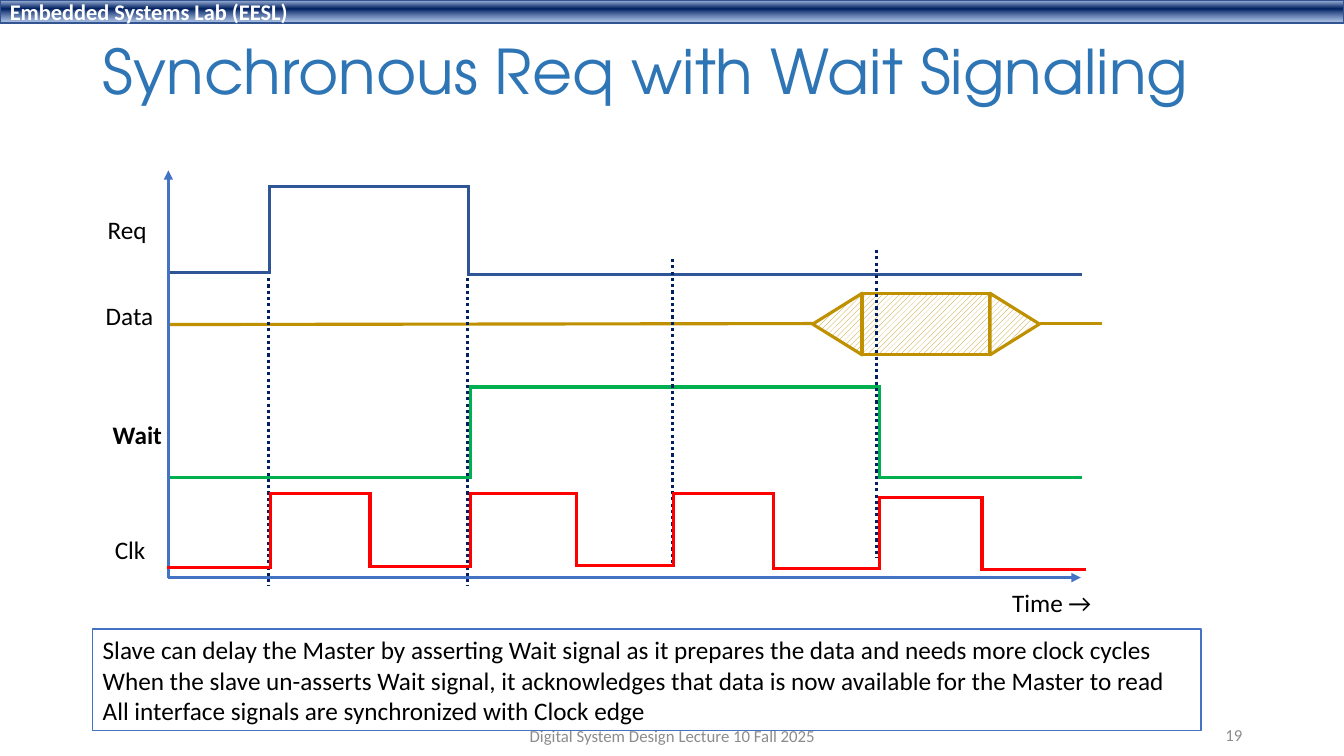
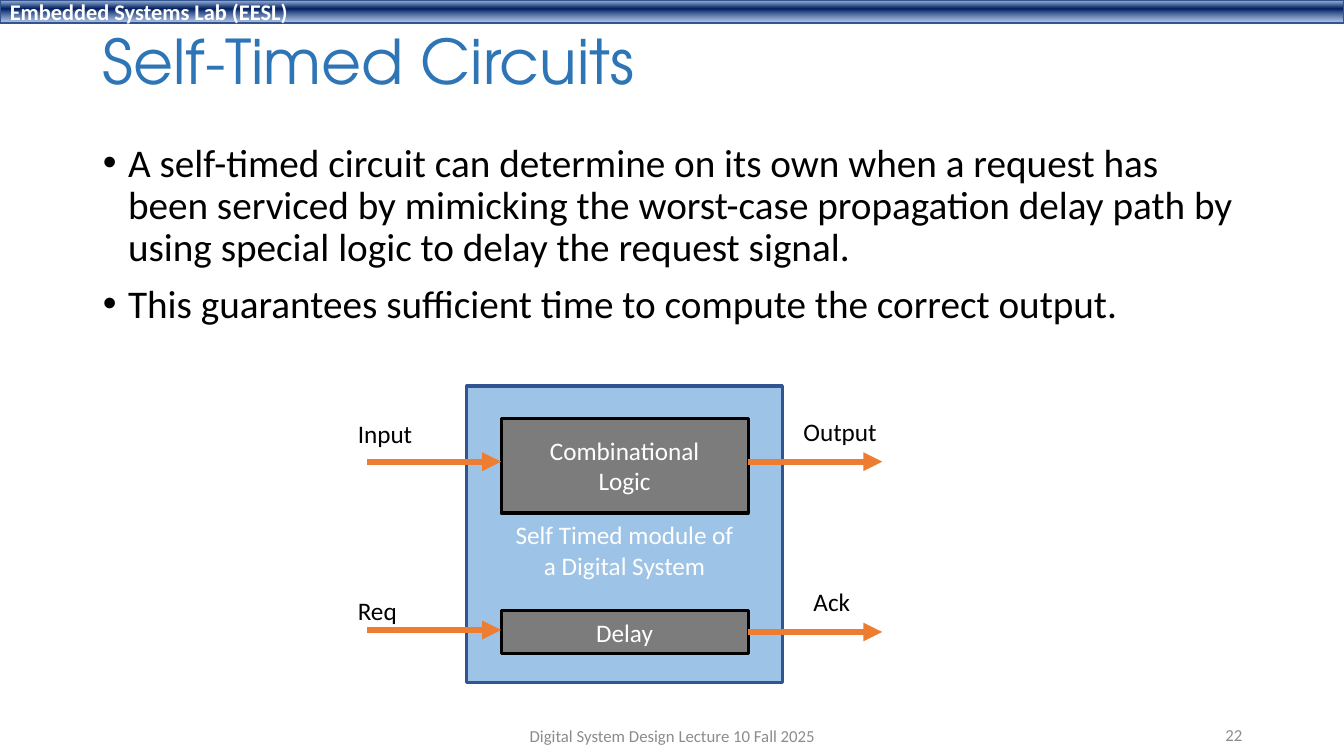
"""Build two lecture slides on wait signaling and self-timed circuits."""
import itertools

import pptx
import pptx.dml.color
import pptx.enum.dml
import pptx.enum.shapes
import pptx.enum.text
import pptx.oxml
import pptx.oxml.ns
import pptx.util

Inches, Pt = pptx.util.Inches, pptx.util.Pt
SHAPE = pptx.enum.shapes.MSO_SHAPE
ALIGN = pptx.enum.text.PP_ALIGN
MIDDLE = pptx.enum.text.MSO_ANCHOR.MIDDLE
TOP = pptx.enum.text.MSO_ANCHOR.TOP

COLORS = {
    "title": "2E75B6", "text": "000000", "white": "FFFFFF", "footer": "8C8C8C",
    "band_line": "325491", "axis": "4472C4", "edge": "002060", "req": "2F5597",
    "data": "BF9000", "wait": "00B050", "clk": "FF0000", "module": "9DC3E6",
    "block": "7C7C7C", "arrow": "ED7D31",
}
BODY_FONT, TITLE_FONT = "Calibri", "TeX Gyre Adventor"

LAB = "Embedded Systems Lab (EESL)"
COURSE = "Digital System Design Lecture 10 Fall 2025"
BAND_STOPS = [(2, "ABC0E4", 100), (38, "002060", 100), (93, "7E9ED6", 64)]

WAIT_TITLE = "Synchronous Req with Wait Signaling"
SIGNAL_LABELS = [
    ("Time →", (9.94, 5.78, 1, 0.4), False),
    ("Req", (0.97, 2.08, 0.59, 0.4), False),
    ("Data", (0.95, 2.93, 0.68, 0.4), False),
    ("Wait", (1.02, 4.11, 0.7, 0.4), True),
    ("Clk", (1.04, 5.25, 0.51, 0.4), False),
]
ORIGIN_X, ORIGIN_Y = 1.67, 5.73
AXIS_ENDS = [(ORIGIN_X, 1.69), (10.72, ORIGIN_Y)]
WAIT_HOLDS = [(4.67, 4.74), (8.72, 3.84), (10.72, 4.74)]
REQ_HOLDS = [(2.67, 2.7), (4.65, 1.85), (10.72, 2.72)]
CLK_HOLDS = [
    (2.68, 5.63), (3.67, 4.9), (4.67, 5.62), (5.72, 4.9), (6.68, 5.61),
    (7.67, 4.9), (8.72, 5.64), (9.74, 4.94), (10.76, 5.65),
]
DATA_LINES = [((ORIGIN_X, 3.22), (8.06, 3.21)), ((10.32, 3.21), (10.93, 3.21))]
DATA_VALID = [
    (SHAPE.ISOSCELES_TRIANGLE, (8, 2.97, 0.61, 0.49), 270),
    (SHAPE.RECTANGLE, (8.55, 2.91, 1.27, 0.61), 0),
    (SHAPE.ISOSCELES_TRIANGLE, (9.76, 2.97, 0.61, 0.49), 90),
]
CLOCK_EDGES = [(2.66, 2.76, 5.81), (4.64, 2.76, 5.81), (6.67, 2.57, 5.61), (8.69, 2.48, 5.53)]
WAIT_NOTES = [
    "Slave can delay the Master by asserting Wait signal as it prepares the data and needs more clock cycles",
    "When the slave un-asserts Wait signal, it acknowledges that data is now available for the Master to read",
    "All interface signals are synchronized with Clock edge",
]

TIMED_TITLE = "Self-Timed Circuits"
TIMED_POINTS = [
    "A self-timed circuit can determine on its own when a request has been serviced by mimicking "
    "the worst-case propagation delay path by using special logic to delay the request signal.",
    "This guarantees sufficient time to compute the correct output.",
]
MODULE_TEXT = "Self Timed module of\na Digital System"
BLOCKS = [
    ("Combinational\nLogic", (4.97, 4.15, 2.45, 0.94)),
    ("Delay", (4.97, 6.06, 2.45, 0.42)),
]
ARROW_LENGTH = 1.33
ARROWS = [(3.64, 4.58), (3.64, 6.25), (7.42, 6.27), (7.42, 4.58)]
PORT_LABELS = [
    ("Input", (3.45, 4.1, 0.75, 0.4)), ("Req", (3.45, 5.86, 0.59, 0.4)),
    ("Output", (7.87, 4.08, 0.94, 0.4)), ("Ack", (7.97, 5.77, 0.57, 0.4)),
]


def rgb(name):
    return pptx.dml.color.RGBColor.from_string(COLORS[name])


def child(parent, tag, **attributes):
    element = pptx.oxml.parse_xml(f"<{tag} {pptx.oxml.ns.nsdecls('a')}/>")
    for key, value in attributes.items():
        element.set(key, str(value))
    parent.append(element)
    return element


def write(frame, text, size=18, color="text", align=ALIGN.LEFT, anchor=MIDDLE,
          bold=False, font=BODY_FONT, wrap=True):
    frame.text = text
    frame.word_wrap = wrap
    frame.vertical_anchor = anchor
    for paragraph in frame.paragraphs:
        paragraph.alignment = align
        for run in paragraph.runs:
            run.font.size = Pt(size)
            run.font.name = font
            run.font.bold = bold
            run.font.color.rgb = rgb(color)


def place(shape, box):
    shape.left, shape.top, shape.width, shape.height = map(Inches, box)


def add_label(slide, text, box, **style):
    label = slide.shapes.add_textbox(*map(Inches, box))
    write(label.text_frame, text, **style)


def add_box(slide, kind, box, fill, line, width=2.25):
    shape = slide.shapes.add_shape(kind, *map(Inches, box))
    shape.shadow.inherit = False
    if fill:
        shape.fill.solid()
        shape.fill.fore_color.rgb = rgb(fill)
    shape.line.color.rgb = rgb(line)
    shape.line.width = Pt(width)
    return shape


def add_line(slide, start, end, color, width=2.25, arrow=False, dotted=False):
    connector = slide.shapes.add_connector(
        pptx.enum.shapes.MSO_CONNECTOR.STRAIGHT, *map(Inches, (*start, *end)))
    connector.line.color.rgb = rgb(color)
    connector.line.width = Pt(width)
    if dotted:
        connector.line.dash_style = pptx.enum.dml.MSO_LINE.ROUND_DOT
    if arrow:
        child(connector.line._get_or_add_ln(), "a:tailEnd", type="triangle")
    child(connector._element.spPr, "a:effectLst")
    return connector


def add_wave(slide, holds, color):
    """Draw a signal that holds each level up to the given x."""
    points = [(ORIGIN_X, holds[0][1])]
    for (x, level), following in itertools.zip_longest(holds, holds[1:]):
        points.append((x, level))
        if following:
            points.append((x, following[1]))
    for start, end in itertools.pairwise(points):
        segment = add_line(slide, start, end, color)
        segment.line._get_or_add_ln().set("cap", "sq")


def add_band(slide):
    band = add_box(slide, SHAPE.RECTANGLE, (0, 0, 13.33, 0.23), None, "band_line", 1)
    band.fill.gradient()
    band.fill.gradient_angle = 270
    stops = band._element.spPr.find(".//" + pptx.oxml.ns.qn("a:gsLst"))
    for stop in list(stops):
        stops.remove(stop)
    for position, color, alpha in BAND_STOPS:
        shade = child(child(stops, "a:gs", pos=position * 1000), "a:srgbClr", val=color)
        if alpha < 100:
            child(shade, "a:alpha", val=alpha * 1000)
    write(band.text_frame, LAB, size=16, color="white", bold=True)


def start_slide(deck, layout, title, title_height, number):
    slide = deck.slides.add_slide(deck.slide_layouts[layout])
    add_band(slide)
    heading = slide.shapes.title
    place(heading, (0.92, 0.15, 11.5, title_height))
    write(heading.text_frame, title, size=44, color="title", font=TITLE_FONT)
    heading.text_frame.auto_size = pptx.enum.text.MSO_AUTO_SIZE.NONE
    heading.text_frame.paragraphs[0].line_spacing = 0.9
    add_label(slide, COURSE, (4.42, 7.1, 4.5, 0.4), size=12, color="footer", align=ALIGN.CENTER)
    add_label(slide, str(number), (9.42, 7.09, 3, 0.4), size=12, color="footer", align=ALIGN.RIGHT)
    return slide


def add_clock_edge(slide, x, top, bottom):
    add_line(slide, (x, top), (x, bottom), "edge", dotted=True)


def build_wait_slide(deck):
    slide = start_slide(deck, 5, WAIT_TITLE, 1.17, 19)
    add_wave(slide, WAIT_HOLDS, "wait")
    for start, end in DATA_LINES:
        add_line(slide, start, end, "data")
    for kind, box, rotation in DATA_VALID:
        valid = add_box(slide, kind, box, None, "data")
        valid.rotation = rotation
        valid.fill.patterned()
        valid.fill.pattern = pptx.enum.dml.MSO_PATTERN.WIDE_UPWARD_DIAGONAL
        valid.fill.fore_color.rgb = rgb("data")
        valid.fill.back_color.rgb = rgb("white")
    add_wave(slide, REQ_HOLDS, "req")
    for edge in CLOCK_EDGES[:-1]:
        add_clock_edge(slide, *edge)
    for end in AXIS_ENDS:
        add_line(slide, (ORIGIN_X, ORIGIN_Y), end, "axis", arrow=True)
    for text, box, bold in SIGNAL_LABELS:
        add_label(slide, text, box, bold=bold, anchor=TOP, wrap=False)
    notes = add_box(slide, SHAPE.RECTANGLE, (0.92, 6.24, 10.99, 1.01), "white", "axis", 1)
    write(notes.text_frame, "\n".join(WAIT_NOTES))
    add_wave(slide, CLK_HOLDS, "clk")
    add_clock_edge(slide, *CLOCK_EDGES[-1])


def build_timed_slide(deck):
    slide = start_slide(deck, 1, TIMED_TITLE, 0.99, 22)
    points = slide.placeholders[1]
    place(points, (0.92, 1.37, 11.5, 2.02))
    write(points.text_frame, "\n".join(TIMED_POINTS), size=28, anchor=TOP)
    points.text_frame.auto_size = pptx.enum.text.MSO_AUTO_SIZE.NONE
    for index, paragraph in enumerate(points.text_frame.paragraphs):
        properties = paragraph._p.get_or_add_pPr()
        properties.set("marL", str(Inches(0.25)))
        properties.set("indent", str(Inches(-0.25)))
        child(properties, "a:buFont", typeface="Arial")
        child(properties, "a:buChar", char="•")
        paragraph.line_spacing = 0.9
        paragraph.space_before = Pt(10 if index else 0)

    module = add_box(slide, SHAPE.RECTANGLE, (4.63, 3.83, 3.13, 2.94), "module", "band_line")
    write(module.text_frame, MODULE_TEXT, color="white", align=ALIGN.CENTER)
    module.text_frame.margin_top = Inches(0.36)
    for text, box in BLOCKS:
        block = add_box(slide, SHAPE.RECTANGLE, box, "block", "text")
        write(block.text_frame, text, color="white", align=ALIGN.CENTER)
    for x, y in ARROWS:
        add_line(slide, (x, y), (x + ARROW_LENGTH, y), "arrow", width=4.5, arrow=True)
    for text, box in PORT_LABELS:
        add_label(slide, text, box, anchor=TOP, wrap=False)


def main():
    deck = pptx.Presentation()
    deck.slide_width, deck.slide_height = Inches(13.33), Inches(7.5)
    build_wait_slide(deck)
    build_timed_slide(deck)
    deck.save("out.pptx")


if __name__ == "__main__":
    main()
